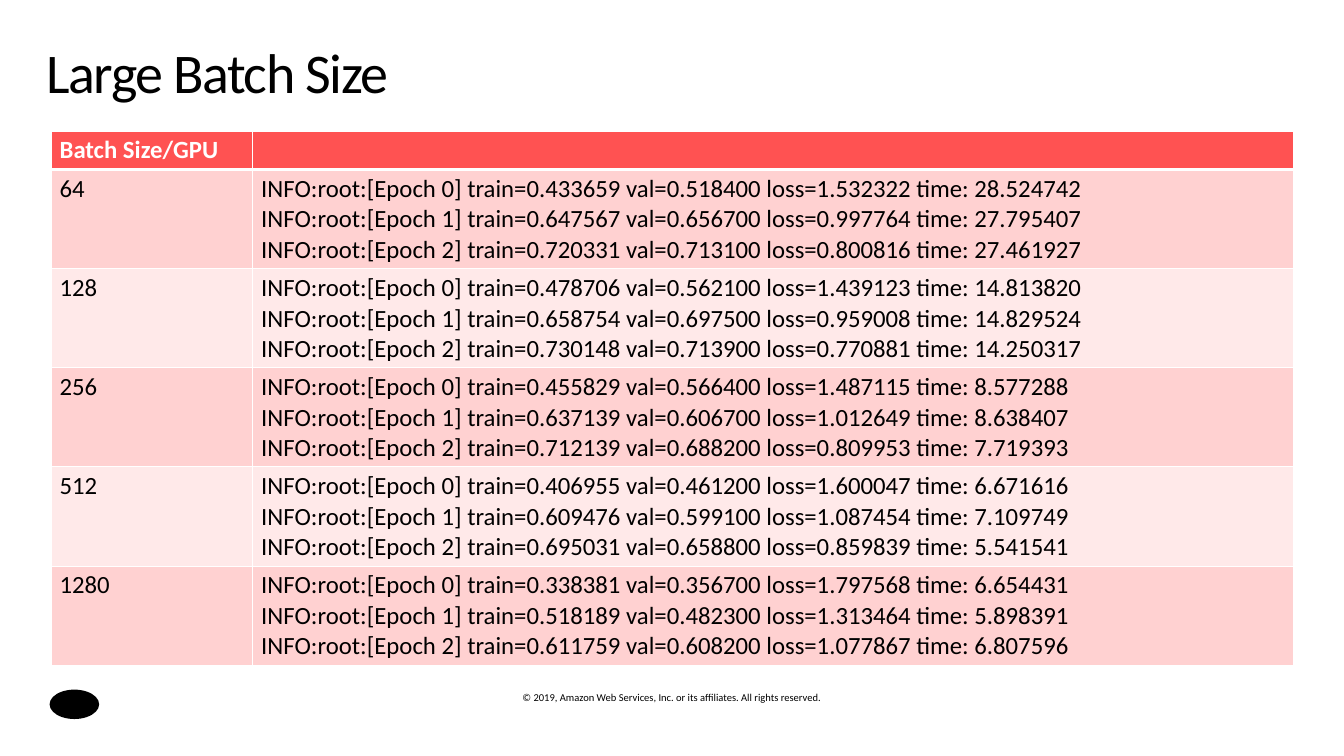
from dataclasses import dataclass
from lxml import etree
from pptx import Presentation
from pptx.dml.color import RGBColor
from pptx.enum import shapes, text
from pptx.oxml import ns
from pptx.util import Inches, Pt


@dataclass(frozen=True)
class Theme:
    font: str = "Calibri"
    ink: str = "000000"
    white: str = "FFFFFF"
    header: str = "FF5252"
    bands: tuple = ("FFD1D1", "FFE9E9")
    title_size: float = 48
    table_size: float = 21.2
    footer_size: float = 9


theme = Theme()


def write(frame, content, size, color=theme.ink, bold=False, align=None, line_spacing=None, tracking=None):
    for index, line in enumerate(content.split("\n")):
        paragraph = frame.add_paragraph() if index else frame.paragraphs[0]
        paragraph.alignment = align
        paragraph.line_spacing = line_spacing
        run = paragraph.add_run()
        run.text = line
        run.font.name = theme.font
        run.font.size = Pt(size)
        run.font.bold = bold
        run.font.color.rgb = RGBColor.from_string(color)
        if tracking is not None:
            run.font._element.set("spc", str(round(tracking * 100)))


def paint_cell(cell, color, bottom=1, top=1):
    properties = cell._tc.get_or_add_tcPr()
    for side, width in (("L", 1), ("R", 1), ("T", top), ("B", bottom)):
        line = etree.SubElement(properties, ns.qn(f"a:ln{side}"), w=str(Pt(width)))
        fill = etree.SubElement(line, ns.qn("a:solidFill"))
        etree.SubElement(fill, ns.qn("a:srgbClr"), val=theme.white)
    cell.fill.solid()
    cell.fill.fore_color.rgb = RGBColor.from_string(color)


deck = Presentation()
deck.slide_width = Inches(16)
deck.slide_height = Inches(9)
slide = deck.slides.add_slide(deck.slide_layouts[6])

footer = slide.shapes.add_textbox(Inches(5.83), Inches(8.23), Inches(4.33), Inches(0.15)).text_frame
footer.word_wrap = True
footer.margin_left = footer.margin_right = footer.margin_top = footer.margin_bottom = 0
footer.auto_size = text.MSO_AUTO_SIZE.SHAPE_TO_FIT_TEXT
write(footer, "© 2019, Amazon Web Services, Inc. or its affiliates. All rights reserved.",
      size=theme.footer_size, align=text.PP_ALIGN.CENTER)

emblem = slide.shapes.add_shape(shapes.MSO_SHAPE.OVAL, Inches(0.59), Inches(8.21), Inches(0.59), Inches(0.35))
emblem.shadow.inherit = False
emblem.fill.solid()
emblem.fill.fore_color.rgb = RGBColor.from_string(theme.ink)
emblem.line.fill.background()

title = slide.shapes.add_textbox(Inches(0.35), Inches(0.38), Inches(15.3), Inches(1.18)).text_frame
title.word_wrap = True
title.margin_left = title.margin_right = Inches(0.2)
title.margin_top = title.margin_bottom = Inches(0.16)
write(title, "Large Batch Size", size=theme.title_size, line_spacing=0.9, tracking=-1.2)

batch_logs = {
    "64": [("0.433659", "0.518400", "1.532322", "28.524742"),
           ("0.647567", "0.656700", "0.997764", "27.795407"),
           ("0.720331", "0.713100", "0.800816", "27.461927")],
    "128": [("0.478706", "0.562100", "1.439123", "14.813820"),
            ("0.658754", "0.697500", "0.959008", "14.829524"),
            ("0.730148", "0.713900", "0.770881", "14.250317")],
    "256": [("0.455829", "0.566400", "1.487115", "8.577288"),
            ("0.637139", "0.606700", "1.012649", "8.638407"),
            ("0.712139", "0.688200", "0.809953", "7.719393")],
    "512": [("0.406955", "0.461200", "1.600047", "6.671616"),
            ("0.609476", "0.599100", "1.087454", "7.109749"),
            ("0.695031", "0.658800", "0.859839", "5.541541")],
    "1280": [("0.338381", "0.356700", "1.797568", "6.654431"),
             ("0.518189", "0.482300", "1.313464", "5.898391"),
             ("0.611759", "0.608200", "1.077867", "6.807596")],
}

header_height, log_height = 0.46, 1.18
results = slide.shapes.add_table(
    len(batch_logs) + 1, 2, Inches(0.61), Inches(1.56), Inches(14.79),
    Inches(header_height + log_height * len(batch_logs))).table
results.columns[0].width = Inches(2.4)
results.columns[1].width = Inches(12.39)

results.rows[0].height = Inches(header_height)
for header_cell in results.rows[0].cells:
    paint_cell(header_cell, theme.header, bottom=3)
write(results.cell(0, 0).text_frame, "Batch Size/GPU", size=theme.table_size, color=theme.white, bold=True)

for row, (batch_size, epochs) in enumerate(batch_logs.items(), start=1):
    results.rows[row].height = Inches(log_height)
    log = "\n".join(
        f"INFO:root:[Epoch {epoch}] train={train} val={val} loss={loss} time: {seconds}"
        for epoch, (train, val, loss, seconds) in enumerate(epochs))
    for column, content in enumerate((batch_size, log)):
        cell = results.cell(row, column)
        paint_cell(cell, theme.bands[(row - 1) % 2], top=3 if row == 1 else 1)
        write(cell.text_frame, content, size=theme.table_size)

deck.save("out.pptx")
